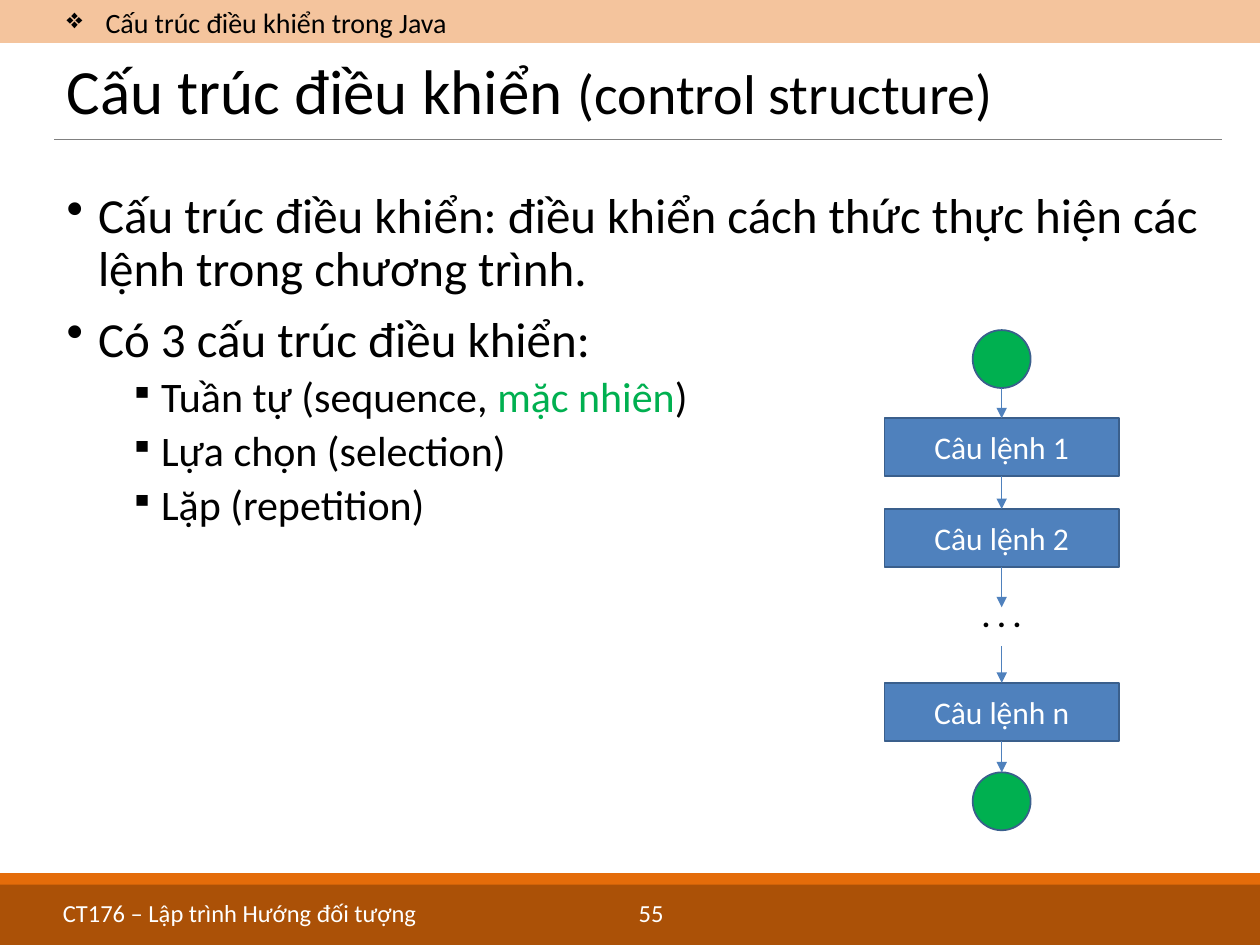
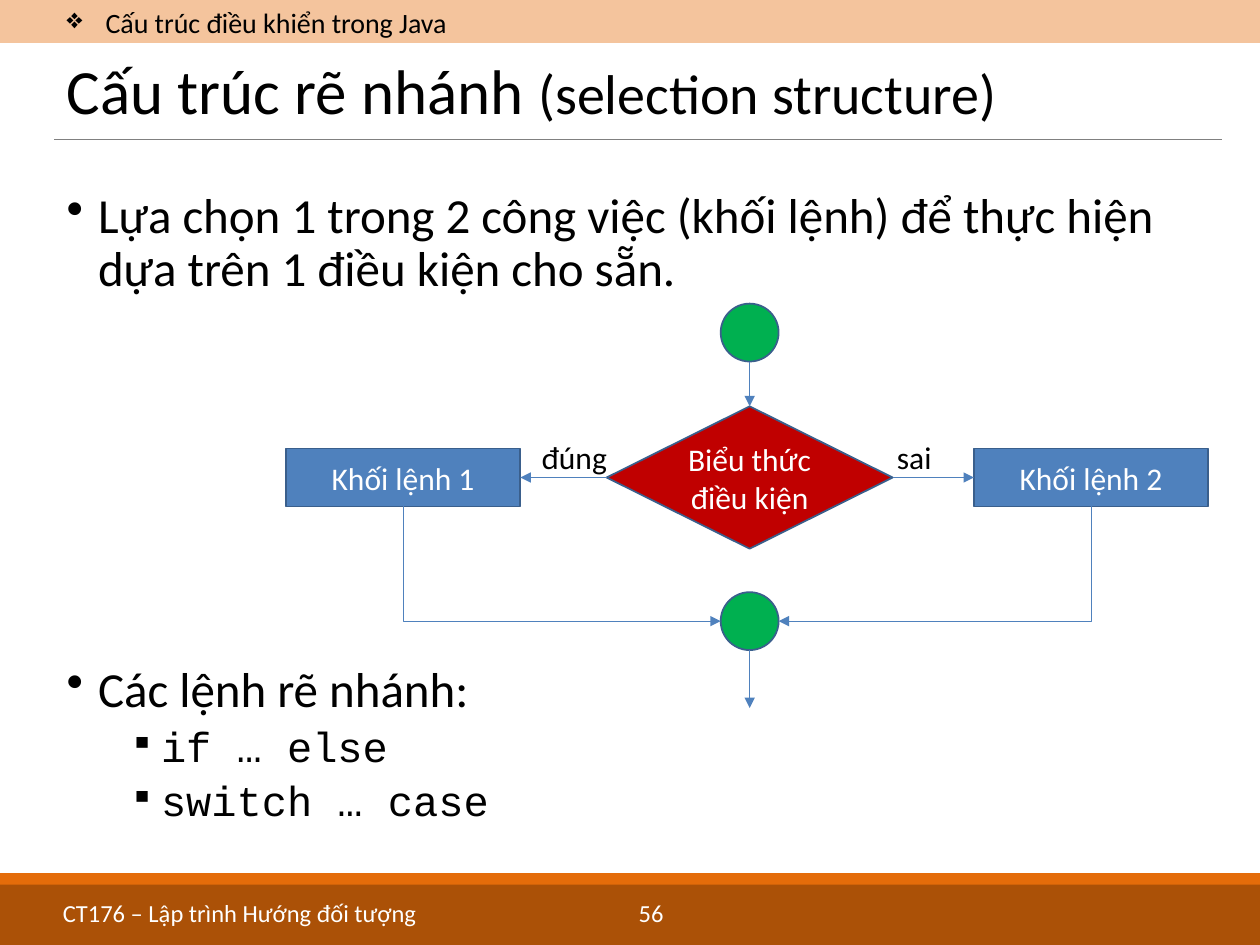
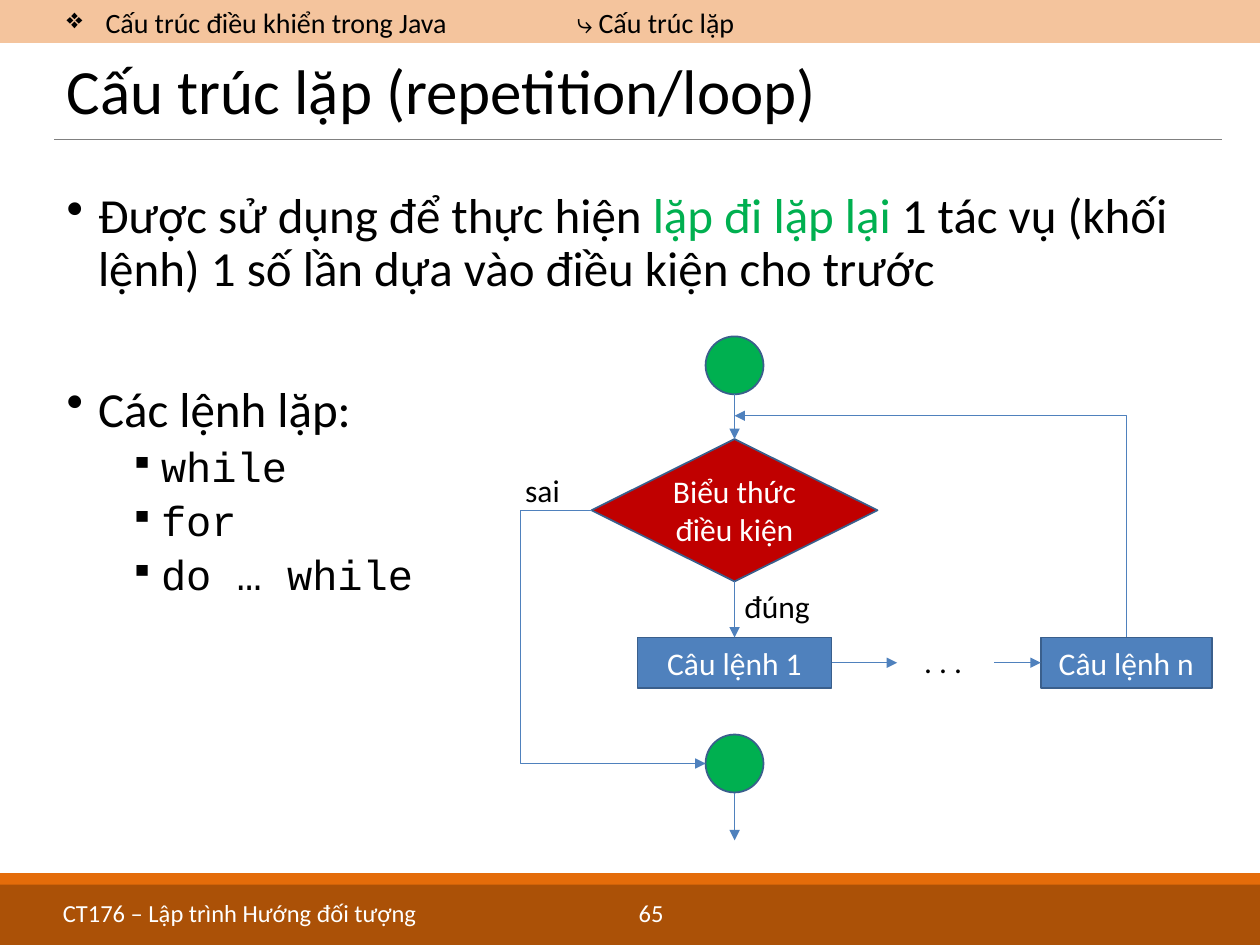
from lxml.etree import SubElement
from pptx import Presentation
from pptx.dml.color import RGBColor
from pptx.enum.shapes import MSO_CONNECTOR as LINK, MSO_SHAPE as SHAPE
from pptx.enum.text import MSO_ANCHOR as ANCHOR, PP_ALIGN as ALIGN
from pptx.oxml.ns import qn
from pptx.util import Emu, Inches, Pt

ORANGE = RGBColor(0xE4, 0x6C, 0x0A)
BROWN = RGBColor(0x98, 0x48, 0x07)
GRAY = RGBColor(0x80, 0x80, 0x80)
BLACK = RGBColor(0, 0, 0)
WHITE = RGBColor(0xFF, 0xFF, 0xFF)
GREEN = RGBColor(0x00, 0xB0, 0x50)
RED = RGBColor(0xC0, 0x00, 0x00)
BLUE = RGBColor(0x4F, 0x81, 0xBD)
NAVY = RGBColor(0x3A, 0x5F, 0x8C)

SLIDE_W, SLIDE_H = Inches(10), Inches(7.5)
CELL = SLIDE_W // 10
MARGIN, CONTENT_W = 0.43, 9.27
CIRCLE = 0.46
BLOCK = (1.86, 0.46)
DIAMOND = (2.27, 1.13)
BLANK_LINE = 40
TOP, LEFT, BOTTOM, RIGHT = range(4)

COURSE = "CT176 – Lập trình Hướng đối tượng"
CHAPTER = "Cấu trúc điều khiển trong Java"
CONDITION = "Biểu thức điều kiện"


def grid(*cells):
    """Turn grid cells into slide lengths."""
    return [Emu(round(cell * CELL)) for cell in cells]


def style(font, size, color, name="Calibri"):
    """Set size, colour and typeface of a font."""
    font.size, font.name = Pt(size), name
    font.color.rgb = color


def bullet(paragraph, symbol, left, hang, percent=100):
    """Give a paragraph a hanging bullet."""
    props = paragraph._p.get_or_add_pPr()
    props.set("marL", str(grid(left)[0]))
    props.set("indent", str(-grid(hang)[0]))
    SubElement(props, qn("a:buSzPct")).set("val", str(percent * 1000))
    SubElement(props, qn("a:buChar")).set("char", symbol)


def text_frame(slide, x, y, w, h, anchor=ANCHOR.TOP):
    """Add a wrapping text box and return its frame."""
    frame = slide.shapes.add_textbox(*grid(x, y, w, h)).text_frame
    frame.word_wrap = True
    frame.vertical_anchor = anchor
    return frame


def label(slide, text, x, y, w, h=0.4, size=18, color=BLACK, align=ALIGN.LEFT):
    """Add one line of text and return its paragraph."""
    anchor = ANCHOR.MIDDLE if h < 0.4 else ANCHOR.TOP
    line = text_frame(slide, x, y, w, h, anchor).paragraphs[0]
    line.text, line.alignment = text, align
    style(line.font, size, color)
    return line


def band(slide, top, height, color, opacity=100):
    """Add a full-width colour band."""
    bar = slide.shapes.add_shape(SHAPE.RECTANGLE, *grid(0, top, 10, height))
    bar.shadow.inherit = False
    bar.fill.solid()
    bar.fill.fore_color.rgb = color
    bar.line.fill.background()
    if opacity < 100:
        tint = bar.fill._xPr.find(".//" + qn("a:srgbClr"))
        SubElement(tint, qn("a:alpha")).set("val", str(opacity * 1000))


def line(slide, start, end, color=BLUE, kind=LINK.STRAIGHT):
    """Add a thin line between two points."""
    link = slide.shapes.add_connector(kind, *start, *end)
    link.line.color.rgb, link.line.width = color, Pt(0.5)
    SubElement(link._element.spPr, qn("a:effectLst"))
    return link


def frame_slide(deck, page, title, subtitle="", topic=""):
    """Add a slide with its bands, chapter, title, rule and footer."""
    slide = deck.slides.add_slide(deck.slide_layouts[6])
    band(slide, 0, 0.34, ORANGE, 40)
    band(slide, 6.93, 0.57, ORANGE)
    band(slide, 7.02, 0.48, BROWN, 75)
    line(slide, grid(MARGIN, 1.11), grid(MARGIN + CONTENT_W, 1.11), GRAY)
    label(slide, COURSE, 0.4, 7.08, 4.4, size=14, color=WHITE)
    label(slide, str(page), 4.97, 7.08, 1, size=14, color=WHITE)
    heading = text_frame(slide, MARGIN, 0.4, CONTENT_W, 0.7, ANCHOR.MIDDLE).paragraphs[0]
    heading.line_spacing = 0.9
    for text, size in ((title, 36), (subtitle, 32)):
        if text:
            run = heading.add_run()
            run.text = text
            style(run.font, size, BLACK)
    chapter = label(slide, CHAPTER, MARGIN, 0.02, 4, 0.31, 16)
    bullet(chapter, "❖", 0.31, 0.31)
    if topic:
        label(slide, topic, 4.48, 0.02, 4, 0.31, 16)
    return slide


def body(slide, *items):
    """Add bullets of (level, text, blank lines above, font); |text| is green."""
    frame = text_frame(slide, MARGIN, 1.47, CONTENT_W, 5.35)
    for index, (level, text, gap, name) in enumerate(items):
        item = frame.add_paragraph() if index else frame.paragraphs[0]
        item.level, item.line_spacing = level, 0.9
        item.space_before = Pt((5 if level else 10) + gap * BLANK_LINE)
        bullet(item, *(("▪", 0.75, 0.25, 80) if level else ("•", 0.25, 0.25)))
        style(item.font, 24 if level else 28, BLACK, name)
        for part, words in enumerate(text.split("|")):
            run = item.add_run()
            run.text = words
            if part % 2:
                run.font.color.rgb = GREEN


def point(text, gap=0):
    """Describe a main bullet."""
    return 0, text, gap, "Calibri"


def subpoint(text, name="Calibri"):
    """Describe a second-level bullet."""
    return 1, text, 0, name


def code(text):
    """Describe a second-level bullet holding code."""
    return subpoint(text, "Courier New")


def node(slide, kind, color, x, y, w, h, text=""):
    """Add a flowchart node centred on a grid point."""
    shape = slide.shapes.add_shape(kind, *grid(x - w / 2, y - h / 2, w, h))
    shape.shadow.inherit = False
    shape.fill.solid()
    shape.fill.fore_color.rgb = color
    shape.line.color.rgb, shape.line.width = NAVY, Pt(1)
    if text:
        frame = shape.text_frame
        frame.word_wrap, frame.vertical_anchor = True, ANCHOR.MIDDLE
        caption = frame.paragraphs[0]
        caption.text, caption.alignment = text, ALIGN.CENTER
        style(caption.font, 18, WHITE)
    return shape


def terminal(slide, x, y):
    """Add a green start or end circle."""
    return node(slide, SHAPE.OVAL, GREEN, x, y, CIRCLE, CIRCLE)


def block(slide, text, x, y, size=BLOCK):
    """Add a blue statement block."""
    return node(slide, SHAPE.RECTANGLE, BLUE, x, y, *size, text)


def decision(slide, x, y):
    """Add the red condition diamond."""
    diamond = node(slide, SHAPE.DIAMOND, RED, x, y, *DIAMOND, CONDITION)
    frame = diamond.text_frame
    frame.margin_left = frame.margin_right = frame.margin_top = frame.margin_bottom = 0
    return diamond


def side_point(shape, side):
    """Return the middle of a shape's side."""
    across, down = {TOP: (1, 0), LEFT: (0, 1), BOTTOM: (1, 2), RIGHT: (2, 1)}[side]
    return shape.left + shape.width * across // 2, shape.top + shape.height * down // 2


def arrow(slide, start, end, kind=LINK.STRAIGHT, head="tailEnd"):
    """Link two ends, each a grid point or a (shape, side) pair."""
    ends = [grid(*e) if isinstance(e[0], (int, float)) else side_point(*e) for e in (start, end)]
    link = line(slide, *ends, kind=kind)
    for (shape, side), join in ((start, link.begin_connect), (end, link.end_connect)):
        if not isinstance(shape, (int, float)) and shape.auto_shape_type != SHAPE.OVAL:
            join(shape, side)
    SubElement(link.line._get_or_add_ln(), qn("a:" + head)).set("type", "triangle")
    return link


def corner(slide, target, source):
    """Link a source to a target with one corner, level at the target."""
    link = arrow(slide, target, source, LINK.ELBOW, "headEnd")
    link._element.spPr.prstGeom.set("prst", "bentConnector2")


def detour(slide, start, end, share):
    """Link two ends by way of a column at a share of their width."""
    link = arrow(slide, start, end, LINK.ELBOW)
    guide = SubElement(link._element.spPr.prstGeom.get_or_add_avLst(), qn("a:gd"))
    guide.set("name", "adj1")
    guide.set("fmla", f"val {round(share * 100000)}")


def sequence_slide(deck):
    """Build the slide on control structures."""
    slide = frame_slide(deck, 55, "Cấu trúc điều khiển ", "(control structure)")
    body(slide,
         point("Cấu trúc điều khiển: điều khiển cách thức thực hiện các lệnh trong chương trình."),
         point("Có 3 cấu trúc điều khiển:"),
         subpoint("Tuần tự (sequence, |mặc nhiên|)"),
         subpoint("Lựa chọn (selection)"),
         subpoint("Lặp (repetition)"))
    axis = 7.95
    first, second, last = [block(slide, f"Câu lệnh {name}", axis, y)
                           for name, y in (("1", 3.55), ("2", 4.27), ("n", 5.65))]
    start, finish = [terminal(slide, axis, y) for y in (2.85, 6.36)]
    for upper, lower in ((start, first), (first, second), (last, finish)):
        arrow(slide, (upper, BOTTOM), (lower, TOP))
    arrow(slide, (second, BOTTOM), (axis, 4.82))
    arrow(slide, (axis, 5.13), (last, TOP))
    label(slide, ". . .", axis - 0.65, 4.68, 1.3, align=ALIGN.CENTER).font.bold = True


def selection_slide(deck):
    """Build the slide on selection."""
    slide = frame_slide(deck, 56, "Cấu trúc rẽ nhánh ", "(selection structure)")
    body(slide,
         point("Lựa chọn 1 trong 2 công việc (khối lệnh) để thực hiện dựa trên 1 điều kiện cho sẵn."),
         point("Các lệnh rẽ nhánh:", 5),
         code("if … else"),
         code("switch … case"))
    axis, level = 5.95, 3.79
    start, finish = [terminal(slide, axis, y) for y in (2.64, 4.93)]
    condition = decision(slide, axis, level)
    yes_block = block(slide, "Khối lệnh 1", 3.2, level)
    no_block = block(slide, "Khối lệnh 2", 8.66, level)
    arrow(slide, (start, BOTTOM), (condition, TOP))
    arrow(slide, (condition, RIGHT), (no_block, LEFT))
    arrow(slide, (condition, LEFT), (yes_block, RIGHT))
    corner(slide, (finish, LEFT), (yes_block, BOTTOM))
    corner(slide, (finish, RIGHT), (no_block, BOTTOM))
    arrow(slide, (finish, BOTTOM), (axis, 5.62))
    label(slide, "sai", 7.02, 3.43, 0.99)
    label(slide, "đúng", 4.2, 3.43, 0.99)


def loop_slide(deck):
    """Build the slide on loops."""
    slide = frame_slide(deck, 65, "Cấu trúc lặp (repetition/loop)", topic="⤷ Cấu trúc lặp")
    body(slide,
         point("Được sử dụng để thực hiện |lặp đi lặp lại| 1 tác vụ (khối lệnh) "
               "1 số lần dựa vào điều kiện cho trước"),
         point("Các lệnh lặp:", 1),
         code("while"),
         code("for"),
         code("do … while"))
    axis, level = 5.83, 5.26
    start, finish = [terminal(slide, axis, y) for y in (2.9, 6.06)]
    condition = decision(slide, axis, 4.05)
    first = block(slide, "Câu lệnh 1", axis, level, (1.54, 0.4))
    last = block(slide, "Câu lệnh n", 8.94, level, (1.36, 0.4))
    arrow(slide, (start, BOTTOM), (condition, TOP))
    arrow(slide, (condition, BOTTOM), (first, TOP))
    arrow(slide, (first, RIGHT), (7.12, level))
    arrow(slide, (7.89, level), (last, LEFT))
    corner(slide, (axis, 3.3), (last, TOP))
    detour(slide, (condition, LEFT), (finish, LEFT), -0.62)
    arrow(slide, (finish, BOTTOM), (axis, 6.67))
    label(slide, ". . .", 7.1, 5.05, 0.77, align=ALIGN.CENTER)
    label(slide, "sai", 4.07, 3.69, 0.7)
    label(slide, "đúng", 5.81, 4.61, 0.99)


def main():
    """Build and save the deck."""
    deck = Presentation()
    deck.slide_width, deck.slide_height = SLIDE_W, SLIDE_H
    for build in (sequence_slide, selection_slide, loop_slide):
        build(deck)
    deck.save("out.pptx")


if __name__ == "__main__":
    main()
